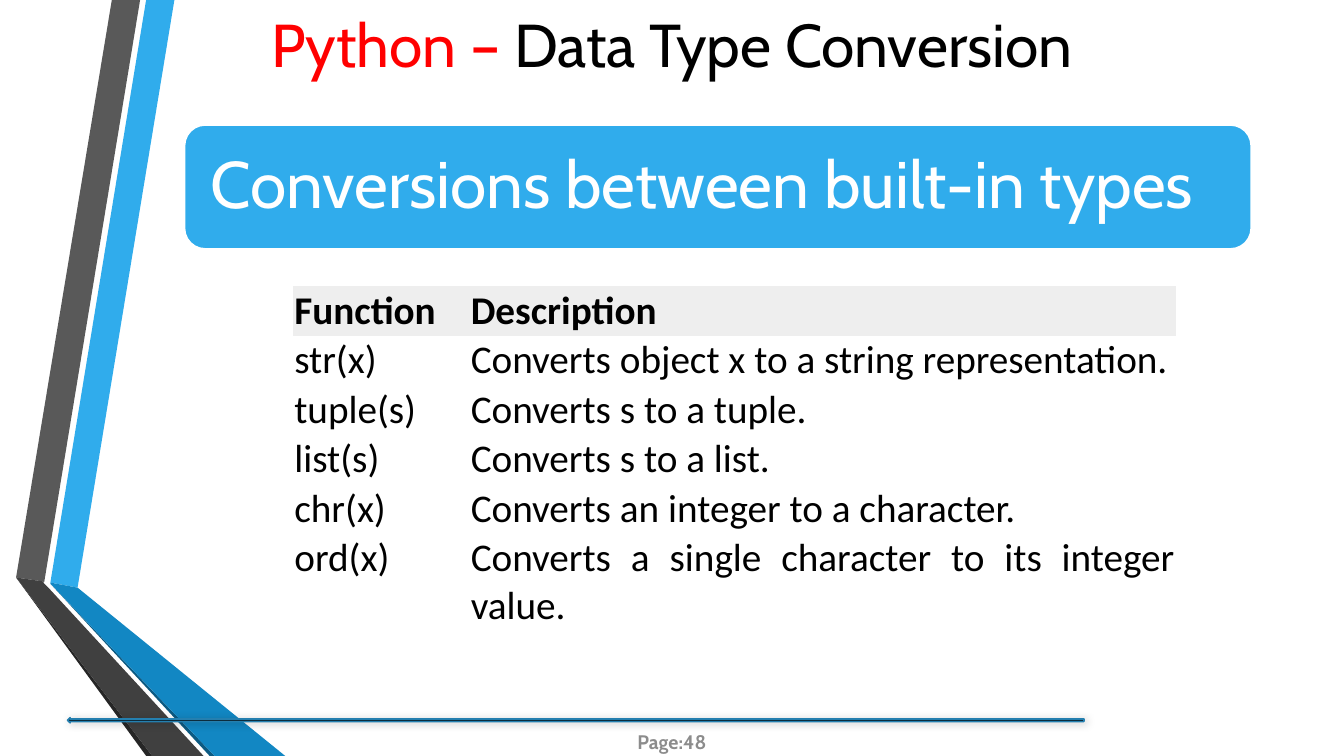
from dataclasses import dataclass

from lxml import etree
from pptx import Presentation
from pptx.dml.color import RGBColor
from pptx.enum.shapes import MSO_SHAPE
from pptx.enum.text import MSO_ANCHOR, PP_ALIGN
from pptx.oxml import parse_xml
from pptx.oxml.ns import nsdecls, qn
from pptx.util import Emu, Pt

PX = 9144  # 100 px to the inch

BLUE = RGBColor(0x30, 0xAC, 0xEC)
MID_BLUE = RGBColor(0x12, 0x87, 0xC3)
DEEP_BLUE = RGBColor(0x0C, 0x5A, 0x82)
RULE_BLUE = RGBColor(0x24, 0x7F, 0xAF)
GRAY = RGBColor(0x59, 0x59, 0x59)
DARK = RGBColor(0x40, 0x40, 0x40)
DARKER = RGBColor(0x26, 0x26, 0x26)
FOOT = RGBColor(0x8C, 0x8C, 0x8C)
PALE = RGBColor(0xEE, 0xEE, 0xEE)
RED = RGBColor(0xFF, 0, 0)
BLACK = RGBColor(0, 0, 0)
WHITE = RGBColor(0xFF, 0xFF, 0xFF)

NO_GRID = "{2D5ABB26-0587-4C30-8999-92F81FD0307C}"


@dataclass
class Band:
    color: RGBColor
    points: list[tuple[int, int]]


@dataclass
class Label:
    box: tuple[int, int, int, int]
    runs: list[tuple[str, RGBColor]]
    size: float
    inset: tuple[int, int]
    align: PP_ALIGN = PP_ALIGN.CENTER
    bold: bool = False
    spacing: float = 1.0


BANDS = [
    Band(BLUE, [(50, 578), (77, 583), (173, 0), (145, 0)]),
    Band(GRAY, [(139, 0), (111, 0), (16, 573), (44, 577)]),
    Band(DARKER, [(16, 573), (145, 750), (151, 750)]),
    Band(DEEP_BLUE, [(50, 579), (208, 750), (213, 750)]),
    Band(MID_BLUE, [(50, 579), (213, 750), (283, 750), (77, 583), (50, 578)]),
    Band(DARK, [(202, 750), (48, 583), (43, 578), (44, 577), (16, 573), (151, 750)]),
]

PAGE = Label((578, 716, 177, 40), [("Page:48", FOOT)], 14, (4, 2), bold=True)
TITLE = Label((0, 0, 1333, 86),
              [("Python – ", RED), ("Data Type Conversion", BLACK)], 43.2, (10, 5))
TOPIC = Label((189, 130, 1046, 111), [("Conversions between built-in types", WHITE)],
              47, (20, 20), align=PP_ALIGN.LEFT, spacing=0.9)

ROWS = [
    ("Function", "Description"),
    ("str(x)", "Converts object x to a string representation."),
    ("tuple(s)", "Converts s to a tuple."),
    ("list(s)", "Converts s to a list."),
    ("chr(x)", "Converts an integer to a character."),
    ("ord(x)", "Converts a single character to its integer value."),
]
COLS = (175, 700)
ROW_H = 49
LAST_H = 97


def emu(*lengths: int) -> list[Emu]:
    return [Emu(n * PX) for n in lengths]


def add_band(slide, band: Band) -> None:
    pen = slide.shapes.build_freeform(*band.points[0], scale=PX)
    pen.add_line_segments(band.points[1:], close=True)
    shape = pen.convert_to_shape()
    shape.shadow.inherit = False
    shape.fill.solid()
    shape.fill.fore_color.rgb = band.color
    shape.line.fill.background()


def add_label(slide, label: Label) -> None:
    frame = slide.shapes.add_textbox(*emu(*label.box)).text_frame
    frame.word_wrap = True
    frame.vertical_anchor = MSO_ANCHOR.MIDDLE
    side, top = emu(*label.inset)
    frame.margin_left = frame.margin_right = side
    frame.margin_top = frame.margin_bottom = top
    para = frame.paragraphs[0]
    para.alignment = label.align
    para.line_spacing = label.spacing
    para.font.name = "Cabin"
    para.font.size = Pt(label.size)
    para.font.bold = label.bold
    for text, color in label.runs:
        run = para.add_run()
        run.text = text
        run.font.color.rgb = color


def add_block(slide, kind: MSO_SHAPE, box: tuple[int, int, int, int],
              fill: RGBColor, line: RGBColor):
    shape = slide.shapes.add_shape(kind, *emu(*box))
    shape.shadow.inherit = False
    shape.fill.solid()
    shape.fill.fore_color.rgb = fill
    shape.line.color.rgb = line
    shape.line.width = Pt(1.25)
    return shape


def add_shade(shape) -> None:
    """Give the shape a soft black shadow to the lower right."""
    effects = shape._element.spPr.find(qn("a:effectLst"))
    effects.append(parse_xml(
        f'<a:outerShdw {nsdecls("a")} blurRad="{Pt(6)}" dist="{Pt(1)}" dir="2700000">'
        '<a:srgbClr val="000000"><a:alpha val="20000"/></a:srgbClr></a:outerShdw>'))


def fill_cell(cell, text: str, head: bool) -> None:
    inset = Emu(PX)
    cell.margin_left = cell.margin_right = inset
    cell.margin_top = cell.margin_bottom = inset
    if head:
        cell.fill.solid()
        cell.fill.fore_color.rgb = PALE
    else:
        cell.fill.background()
    para = cell.text_frame.paragraphs[0]
    para.text = text
    para.alignment = PP_ALIGN.LEFT if head else PP_ALIGN.JUSTIFY
    para.font.name = "Calibri"
    para.font.size = Pt(28)
    para.font.bold = head
    para.font.color.rgb = BLACK


def add_grid(slide) -> None:
    high = ROW_H * (len(ROWS) - 1) + LAST_H
    frame = slide.shapes.add_table(len(ROWS), len(COLS), *emu(291, 284, sum(COLS), high))
    table = frame.table
    table.first_row = table.horz_banding = False
    table._tbl.tblPr.find(qn("a:tableStyleId")).text = NO_GRID
    for col, wide in zip(table.columns, COLS):
        col.width = Emu(wide * PX)
    for i, texts in enumerate(ROWS):
        table.rows[i].height = Emu((LAST_H if i == len(ROWS) - 1 else ROW_H) * PX)
        for j, text in enumerate(texts):
            fill_cell(table.cell(i, j), text, head=i == 0)


def main() -> None:
    deck = Presentation()
    deck.slide_width, deck.slide_height = emu(1333, 750)
    slide = deck.slides.add_slide(deck.slide_layouts[6])
    for band in BANDS:
        add_band(slide, band)
    add_label(slide, PAGE)
    rule = add_block(slide, MSO_SHAPE.LEFT_ARROW, (67, 712, 1008, 5), BLACK, RULE_BLUE)
    add_shade(rule)
    add_label(slide, TITLE)
    add_block(slide, MSO_SHAPE.ROUNDED_RECTANGLE, (183, 124, 1058, 123), BLUE, WHITE)
    add_label(slide, TOPIC)
    add_grid(slide)
    deck.save("out.pptx")


if __name__ == "__main__":
    main()
